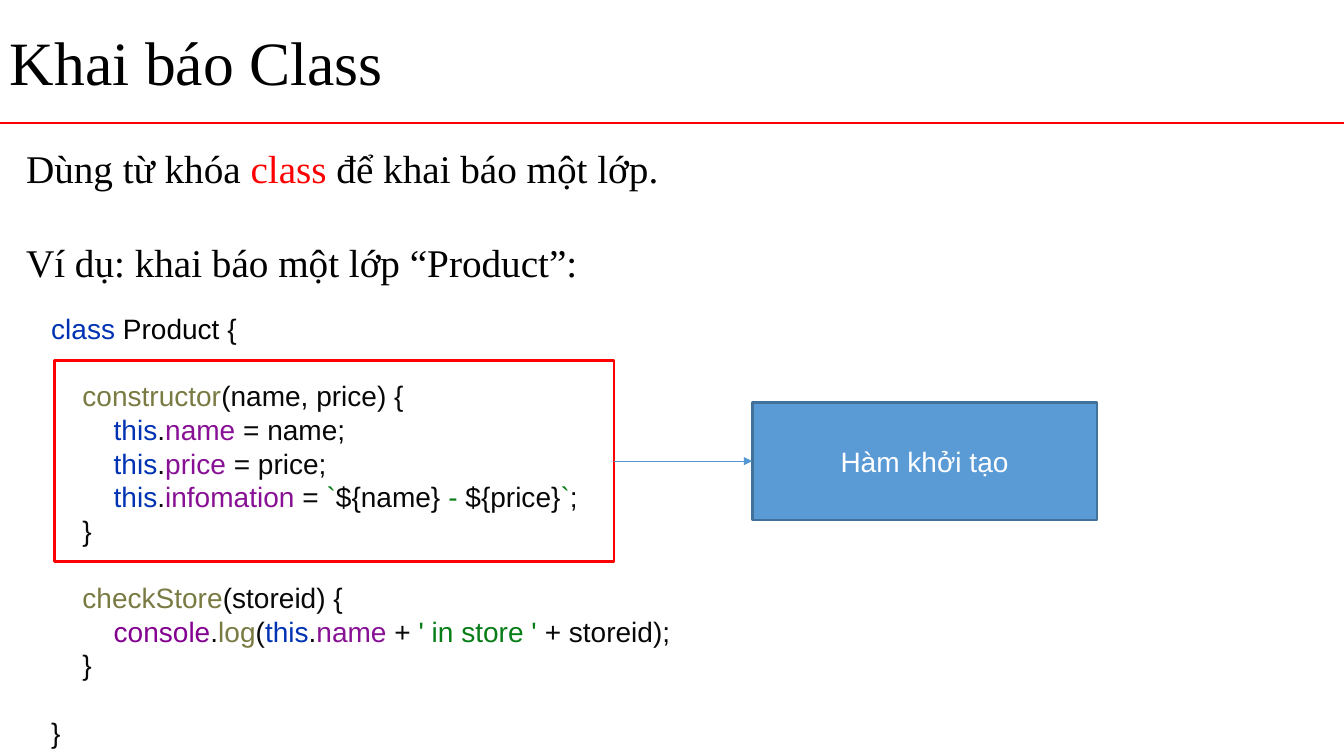
import pptx
import pptx.util
import pptx.dml.color
import pptx.enum.shapes
import pptx.enum.text
import pptx.oxml
import pptx.oxml.ns
from dataclasses import dataclass

Inches = pptx.util.Inches
Pt = pptx.util.Pt


@dataclass(frozen=True)
class Theme:
    serif: str = "Times New Roman"
    sans: str = "Arial"
    title_size: int = 44
    body_size: int = 28
    code_size: int = 20
    leading: float = 1.2
    code_step: float = 0.31
    black: str = "000000"
    white: str = "FFFFFF"
    red: str = "FF0000"
    box_fill: str = "5B9BD5"
    box_line: str = "42719B"
    arrow: str = "5597D3"
    plain: str = "080808"
    keyword: str = "0033B3"
    function: str = "7A7A43"
    member: str = "871094"
    builtin: str = "830091"
    string: str = "067D17"


THEME = Theme()

# Content: each line is (indent level, blank line before, [(text, colour name)])
TITLE = [(0, False, [("Khai báo Class", "black")])]
BODY = [
    (0, False, [("Dùng từ khóa ", "black"), ("class", "red"),
                (" để khai báo một lớp.", "black")]),
    (0, True, [("Ví dụ: khai báo một lớp “Product”:", "black")]),
]
THIS = [("this", "keyword"), (".", "plain")]
CODE = [
    (0, False, [("class ", "keyword"), ("Product ", "black"), ("{", "plain")]),
    (1, True, [("constructor", "function"), ("(name, price) {", "plain")]),
    (2, False, THIS + [("name ", "member"), ("= name;", "plain")]),
    (2, False, THIS + [("price ", "member"), ("= price;", "plain")]),
    (2, False, THIS + [("infomation ", "member"), ("= ", "plain"), ("`", "string"),
                       ("${name}", "plain"), (" - ", "string"),
                       ("${price}", "plain"), ("`", "string"), (";", "plain")]),
    (1, False, [("}", "plain")]),
    (1, True, [("checkStore", "function"), ("(storeid) {", "plain")]),
    (2, False, [("console", "builtin"), (".", "plain"), ("log", "function"),
                ("(", "plain")] + THIS + [("name ", "member"), ("+ ", "plain"),
                                          ("' in store ' ", "string"),
                                          ("+ storeid);", "plain")]),
    (1, False, [("}", "plain")]),
    (0, True, [("}", "plain")]),
]
CALLOUT = [(0, False, [("Hàm khởi tạo", "white")])]

# Places: left, top, width, height
TITLE_AT = (0, 0.19, 11.81, 0.84)
BODY_AT = (0.16, 1.38, 13.01, 5.65)
CODE_AT = (0.41, 3.02, 7.44, 4.48)
FRAME_AT = (0.54, 3.58, 5.55, 1.99)
CALLOUT_AT = (7.46, 3.99, 3.42, 1.17)
RULE_Y = 1.22


def color(value):
    return pptx.dml.color.RGBColor.from_string(value)


def write(shape, lines, font, size, align=pptx.enum.text.PP_ALIGN.LEFT):
    frame = shape.text_frame
    frame.word_wrap = True
    height = Pt(size * THEME.leading)
    for number, (level, gap, spans) in enumerate(lines):
        para = frame.add_paragraph() if number else frame.paragraphs[0]
        para.alignment = align
        para.line_spacing = height
        para.space_before = height if gap else Pt(0)
        if level:
            para._p.get_or_add_pPr().set("marL", str(Inches(level * THEME.code_step)))
        for text, tone in spans:
            span = para.add_run()
            span.text = text
            span.font.name = font
            span.font.size = Pt(size)
            span.font.color.rgb = color(getattr(THEME, tone))


def add_text(page, at, lines, size):
    box = page.shapes.add_textbox(*map(Inches, at))
    write(box, lines, THEME.serif, size)


def add_box(page, at, fill=None, line=None):
    box = page.shapes.add_shape(
        pptx.enum.shapes.MSO_SHAPE.RECTANGLE, *map(Inches, at))
    box.shadow.inherit = False
    if fill:
        box.fill.solid()
        box.fill.fore_color.rgb = color(fill)
    else:
        box.fill.background()
    if line:
        box.line.color.rgb = color(line)
        box.line.width = Pt(2)
    else:
        box.line.fill.background()
    box.text_frame.vertical_anchor = pptx.enum.text.MSO_ANCHOR.MIDDLE
    return box


def add_line(page, start, end, tone, width):
    line = page.shapes.add_connector(
        pptx.enum.shapes.MSO_CONNECTOR.STRAIGHT, *map(Inches, start + end))
    line.line.color.rgb = color(tone)
    line.line.width = Pt(width)
    line._element.spPr.append(pptx.oxml.parse_xml(
        "<a:effectLst %s/>" % pptx.oxml.ns.nsdecls("a")))
    return line


def main():
    deck = pptx.Presentation()
    deck.slide_width, deck.slide_height = Inches(13.33), Inches(7.5)
    page = deck.slides.add_slide(deck.slide_layouts[6])

    # Heading and body
    add_line(page, (0, RULE_Y), (13.33, RULE_Y), THEME.red, 1.5)
    add_text(page, TITLE_AT, TITLE, THEME.title_size)
    add_text(page, BODY_AT, BODY, THEME.body_size)

    # Code sample with the constructor framed
    code = add_box(page, CODE_AT, fill=THEME.white)
    write(code, CODE, THEME.sans, THEME.code_size)
    frame = add_box(page, FRAME_AT, line=THEME.red)

    # Callout and its arrow
    callout = add_box(page, CALLOUT_AT, THEME.box_fill, THEME.box_line)
    write(callout, CALLOUT, THEME.sans, THEME.code_size,
          pptx.enum.text.PP_ALIGN.CENTER)
    middle = FRAME_AT[1] + FRAME_AT[3] / 2
    arrow = add_line(page, (FRAME_AT[0] + FRAME_AT[2], middle),
                     (CALLOUT_AT[0], middle), THEME.arrow, 0.75)
    arrow.begin_connect(frame, 3)
    arrow.end_connect(callout, 1)
    arrow.line._get_or_add_ln().append(pptx.oxml.parse_xml(
        '<a:tailEnd %s type="triangle"/>' % pptx.oxml.ns.nsdecls("a")))

    deck.save("out.pptx")


if __name__ == "__main__":
    main()
